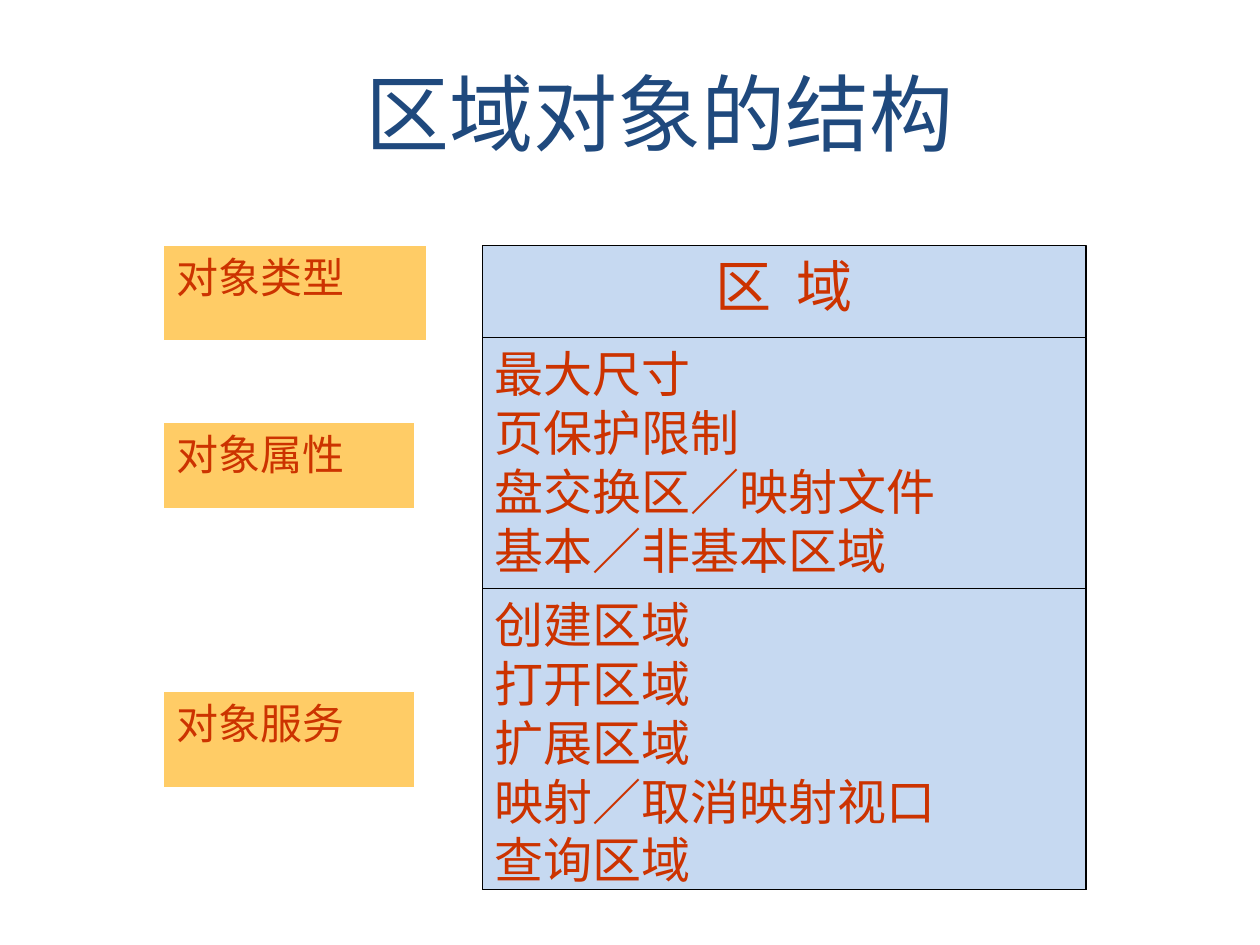
from pptx import Presentation
from pptx.dml.color import RGBColor
from pptx.enum.shapes import MSO_SHAPE
from pptx.enum.text import MSO_ANCHOR, MSO_AUTO_SIZE, PP_ALIGN
from pptx.oxml.ns import qn
from pptx.util import Inches, Pt
from lxml.etree import SubElement

COLORS = {"title": "1F497D", "text": "CC3300", "panel": "C6D9F1",
          "label": "FFCC66", "black": "000000", "white": "FFFFFF"}
FONT = "Noto Sans CJK JP"

deck = Presentation()
deck.slide_width, deck.slide_height = Inches(10), Inches(7.5)
page = deck.slides.add_slide(deck.slide_layouts[6])

# Grid of 0.01 inch: 1000 columns by 750 rows
COLUMN = deck.slide_width // 1000
ROW = deck.slide_height // 750


def add_span(para, text, size, color):
    span = para.add_run()
    span.text = text
    span.font.size = Pt(size)
    span.font.name = FONT
    span.font.color.rgb = RGBColor.from_string(COLORS[color])
    SubElement(span.font._element, qn("a:ea"), typeface=FONT)
    return span


def add_box(left, top, width, height, fill, line):
    box = page.shapes.add_shape(MSO_SHAPE.RECTANGLE, left * COLUMN, top * ROW,
                                width * COLUMN, height * ROW)
    box.shadow.inherit = False
    box.fill.solid()
    box.fill.fore_color.rgb = RGBColor.from_string(COLORS[fill])
    box.line.color.rgb = RGBColor.from_string(COLORS[line])
    box.line.width = Pt(0.75)
    box.text_frame.word_wrap = True
    box.text_frame.vertical_anchor = MSO_ANCHOR.TOP
    return box


# Panel header, with the space between its two characters widened
header = add_box(383, 195, 479, 73, "panel", "black")
para = header.text_frame.paragraphs[0]
para.alignment = PP_ALIGN.CENTER
for text in ("区", " ", "域"):
    span = add_span(para, text, 32, "text")
    if text == " ":
        span.font._element.set("spc", "700")

# Attributes and services; both panels reach the same bottom edge
BOTTOM = 706
panels = [
    (268, ["最大尺寸", "页保护限制", "盘交换区／映射文件", "基本／非基本区域"]),
    (467, ["创建区域", "打开区域", "扩展区域", "映射／取消映射视口", "查询区域"]),
]
for top, lines in panels:
    frame = add_box(383, top, 479, BOTTOM - top, "panel", "black").text_frame
    for index, text in enumerate(lines):
        para = frame.add_paragraph() if index else frame.paragraphs[0]
        para.alignment = PP_ALIGN.LEFT
        add_span(para, text, 28, "text")

# Labels beside the panels
labels = [("对象类型", 195, 209, 75), ("对象属性", 335, 199, 69),
          ("对象服务", 549, 199, 76)]
for text, top, width, height in labels:
    label = add_box(130, top, width, height, "label", "white")
    para = label.text_frame.paragraphs[0]
    para.alignment = PP_ALIGN.LEFT
    add_span(para, text, 24, "text")

# Title
title = page.shapes.add_textbox(280 * COLUMN, 44 * ROW, 570 * COLUMN, 90 * ROW)
title.text_frame.word_wrap = True
title.text_frame.auto_size = MSO_AUTO_SIZE.SHAPE_TO_FIT_TEXT
add_span(title.text_frame.paragraphs[0], "区域对象的结构", 48, "title")

deck.save("out.pptx")
